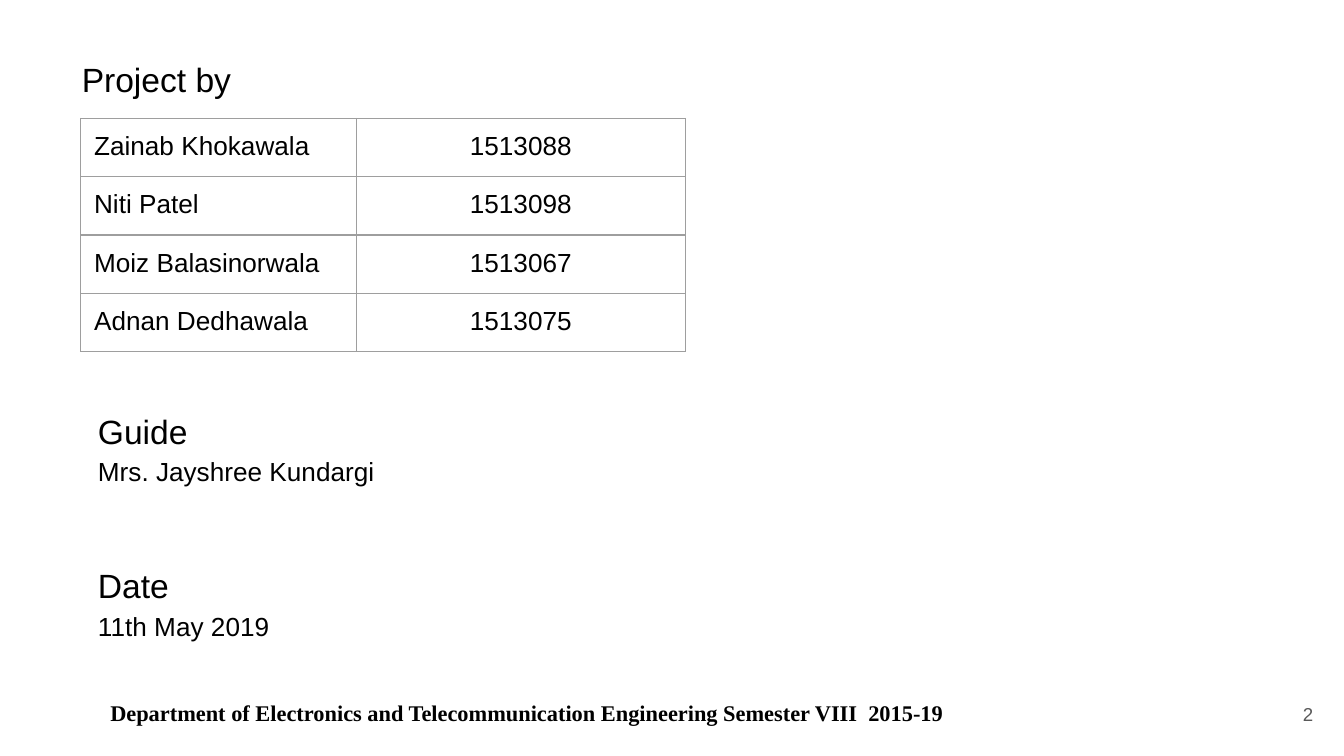
from lxml.etree import SubElement
from pptx import Presentation
from pptx.dml.color import RGBColor
from pptx.enum.text import MSO_ANCHOR as Anchor, PP_ALIGN as Align
from pptx.oxml.ns import qn
from pptx.util import Pt


def style(paragraph, size, color="000000", font="Arial", bold=False):
    for run in paragraph.runs:
        run.font.size = Pt(size)
        run.font.name = font
        run.font.bold = bold
        run.font.color.rgb = RGBColor.from_string(color)


def add_text(left, top, width, height, lines, anchor=Anchor.TOP):
    frame = slide.shapes.add_textbox(Pt(left), Pt(top), Pt(width), Pt(height)).text_frame
    frame.word_wrap = True
    frame.vertical_anchor = anchor
    frame.margin_left = frame.margin_right = Pt(7.2)
    frame.margin_top = frame.margin_bottom = Pt(7.2)
    frame.text = "\n".join(lines)
    return frame


prs = Presentation()
prs.slide_width, prs.slide_height = Pt(720), Pt(405)
slide = prs.slides.add_slide(prs.slide_layouts[6])

page_number = add_text(667.4, 367.2, 43.2, 31, ["2"], Anchor.MIDDLE).paragraphs[0]
page_number.alignment = Align.RIGHT
style(page_number, 10, "595959")

students = [
    ("Zainab Khokawala", "1513088"),
    ("Niti Patel", "1513098"),
    ("Moiz Balasinorwala", "1513067"),
    ("Adnan Dedhawala", "1513075"),
]
column_widths = [147.6, 176.4]
row_height = 30
roster = slide.shapes.add_table(
    len(students), 2, Pt(43.2), Pt(63.4), Pt(sum(column_widths)), Pt(row_height * len(students))
).table
roster.first_row = roster.horz_banding = False
for column, width in zip(roster.columns, column_widths):
    column.width = Pt(width)
for row, student in enumerate(students):
    roster.rows[row].height = Pt(row_height)
    for col, (entry, align) in enumerate(zip(student, (Align.LEFT, Align.CENTER))):
        cell = roster.cell(row, col)
        cell.margin_left = cell.margin_right = Pt(7.2)
        cell.margin_top = cell.margin_bottom = Pt(7.2)
        cell.text = entry
        cell.text_frame.paragraphs[0].alignment = align
        style(cell.text_frame.paragraphs[0], 14)
        properties = cell._tc.get_or_add_tcPr()
        for side in ("a:lnL", "a:lnR", "a:lnT", "a:lnB"):
            border = SubElement(properties, qn(side), w=str(Pt(0.75)))
            SubElement(SubElement(border, qn("a:solidFill")), qn("a:srgbClr"), val="9E9E9E")
        cell.fill.background()

project_by = add_text(36.7, 24.5, 154, 25.2, ["Project by"])
style(project_by.paragraphs[0], 18)

for top, width, lines in [
    (209.5, 192.2, ["Guide", "Mrs. Jayshree Kundargi"]),
    (292.3, 154, ["Date", "11th May 2019"]),
]:
    details = add_text(45.4, top, width, 74.9, lines)
    for paragraph, size in zip(details.paragraphs, (18, 14)):
        paragraph.line_spacing = 1.15
        style(paragraph, size)

department = add_text(
    36.7, 382.3, 585.4, 23,
    ["Department of Electronics and Telecommunication Engineering Semester VIII  2015-19"],
    Anchor.BOTTOM,
)
department.margin_left = Pt(22.4)
department.margin_top = Pt(0)
department.margin_bottom = Pt(18)
style(department.paragraphs[0], 12, font="Times New Roman", bold=True)

prs.save("out.pptx")
